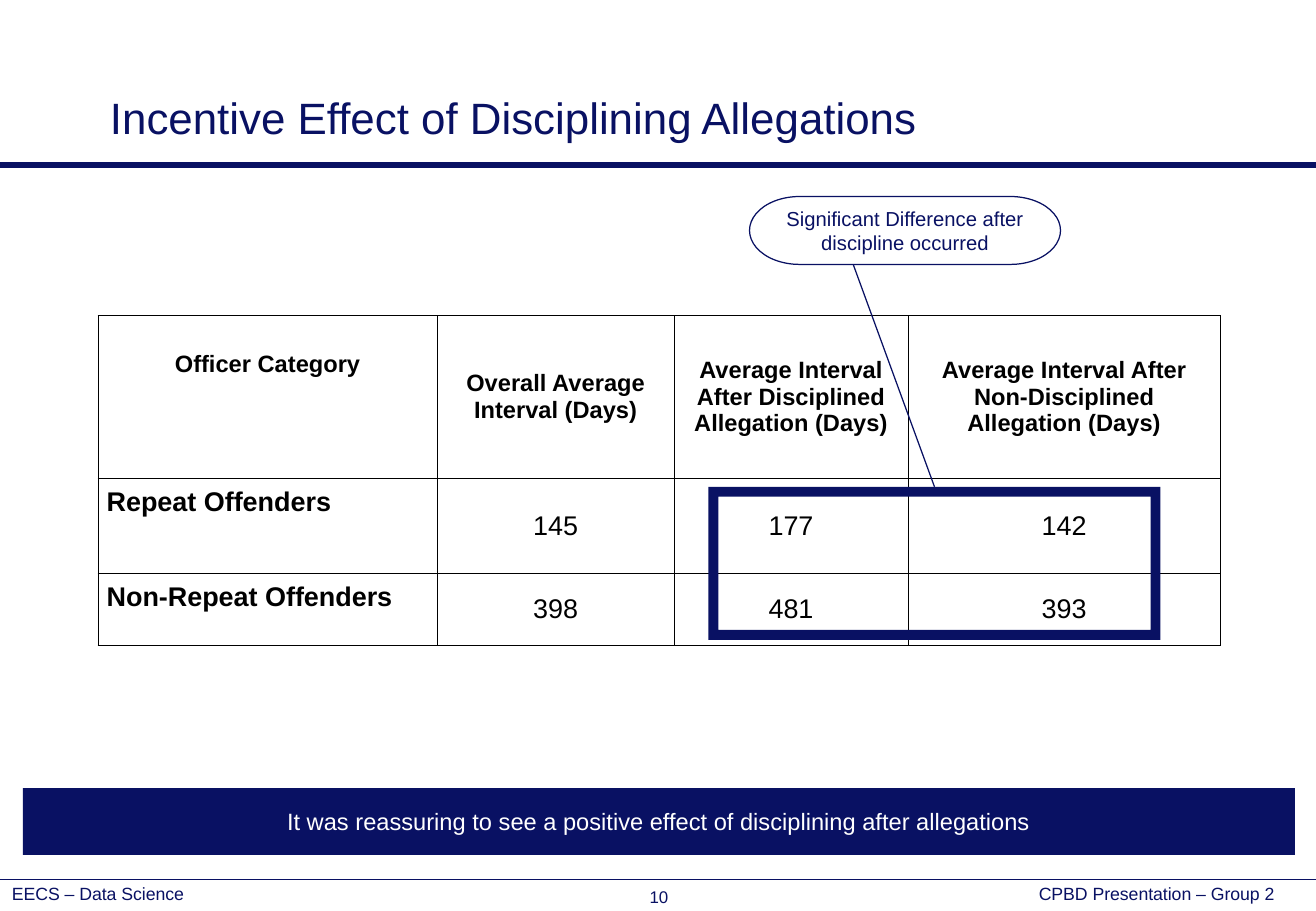
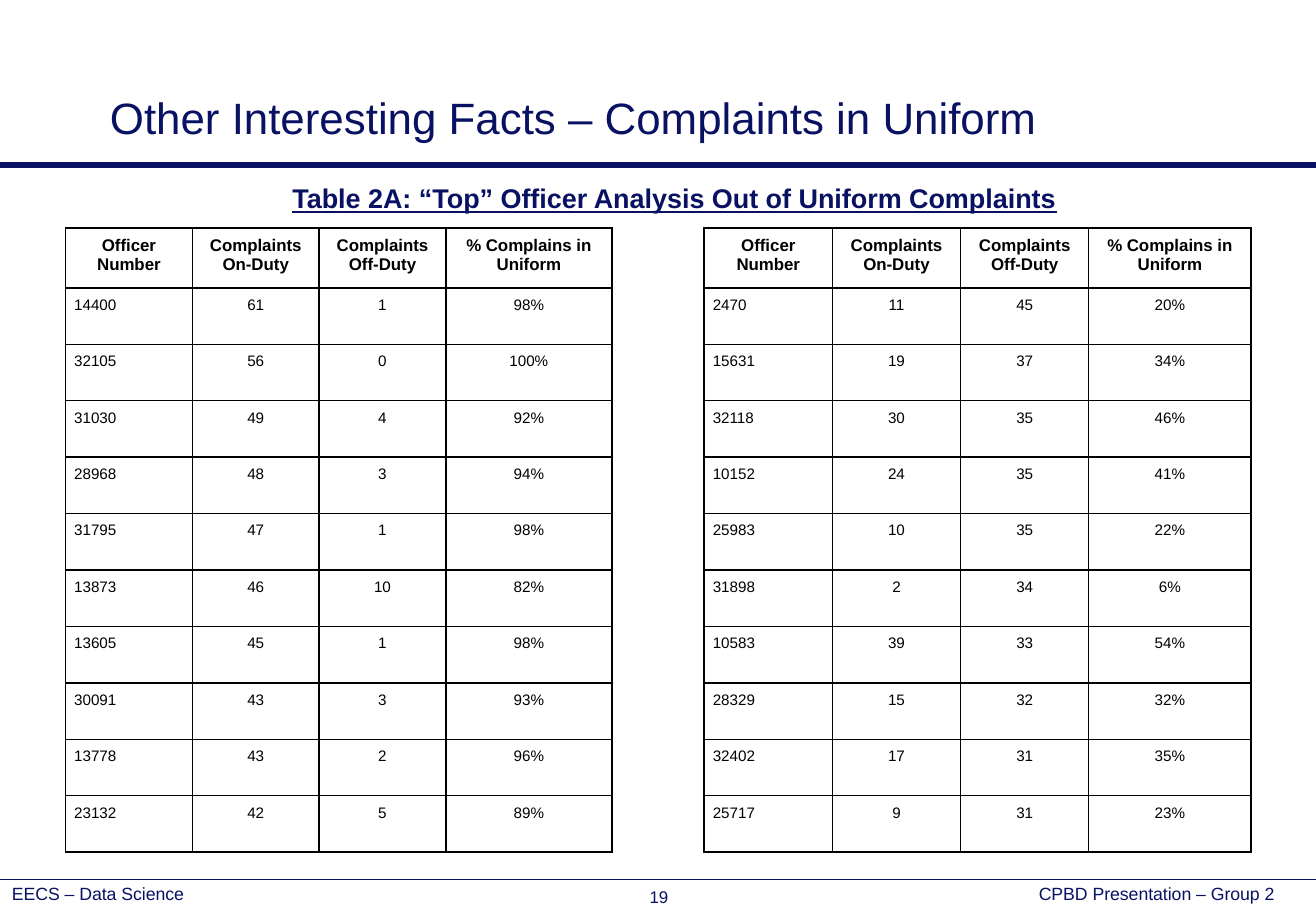
import pptx
import pptx.util
import pptx.dml.color
import pptx.enum.shapes
import pptx.enum.text
import pptx.oxml
import pptx.oxml.ns

Cm, Pt = pptx.util.Cm, pptx.util.Pt
Shape = pptx.enum.shapes.MSO_SHAPE
Align = pptx.enum.text.PP_ALIGN
Anchor = pptx.enum.text.MSO_ANCHOR
NAVY, BLACK, WHITE = "091163", "000000", "FFFFFF"
WIDE, HIGH = 27.51, 19.05
RULE, FOOT = 3.45, 18.39  # heights of the two lines


def rgb(code):
    return pptx.dml.color.RGBColor.from_string(code)


def put(item, form):
    for name, value in form.items():
        setattr(item, name, value)


def write(frame, text, size, color=NAVY, align=Align.LEFT, font=None, form=None):
    """Fill a text frame with one styled paragraph."""
    put(frame, {"word_wrap": True, "vertical_anchor": Anchor.MIDDLE, **(form or {})})
    para = frame.paragraphs[0]
    para.alignment = align
    run = para.add_run()
    run.text = text
    put(run.font, {"name": "Arial", "size": Pt(size), **(font or {})})
    run.font.color.rgb = rgb(color)
    return para


def label(slide, box, text, size, **style):
    area = slide.shapes.add_textbox(*map(Cm, box))
    return write(area.text_frame, text, size, **style)


def line(slide, start, end, width):
    link = slide.shapes.add_connector(
        pptx.enum.shapes.MSO_CONNECTOR.STRAIGHT, *map(Cm, start + end))
    link.line.color.rgb = rgb(NAVY)
    link.line.width = Pt(width)
    props = link._element.spPr
    props.append(props.makeelement(pptx.oxml.ns.qn("a:effectLst"), {}))


def block(slide, kind, box, fill=None, edge=None):
    shape = slide.shapes.add_shape(kind, *map(Cm, box))
    shape.shadow.inherit = False
    if fill:
        shape.fill.solid()
        shape.fill.fore_color.rgb = rgb(fill)
    else:
        shape.fill.background()
    if edge:
        shape.line.color.rgb = rgb(NAVY)
        shape.line.width = Pt(edge)
    else:
        shape.line.fill.background()
    return shape


def base(deck, title, page):
    """Blank slide with title, lines and footer."""
    slide = deck.slides.add_slide(deck.slide_layouts[6])
    for y, width in ((FOOT, 1), (RULE, 3)):
        line(slide, (0, y), (WIDE, y), width)
    head = label(slide, (2.05, 0.13, 24.87, 3), title, 26,
                 form={"vertical_anchor": Anchor.BOTTOM})
    head.line_spacing = 0.9
    top = FOOT + 0.05
    for box, text, size, align in (
            ((0, top, 11.33, 0.48), "EECS – Data Science", 10.5, Align.LEFT),
            ((12.9, top, 1.75, 0.61), page, 10, Align.CENTER),
            ((15.57, top, 11.33, 0.48), "CPBD Presentation – Group 2", 10.5, Align.RIGHT)):
        label(slide, box, text, size, align=align)
    return slide


def border(cell, width):
    props = cell._tc.get_or_add_tcPr()
    for side in ("lnL", "lnR", "lnT", "lnB"):
        props.append(pptx.oxml.parse_xml(
            f'<a:{side} {pptx.oxml.ns.nsdecls("a")} w="{Pt(width)}">'
            f'<a:solidFill><a:srgbClr val="{BLACK}"/></a:solidFill></a:{side}>'))


def grid(slide, left, top, cols, rows, data, edge, style):
    """Draw a table; style(row, col) gives size, bold, align and anchor."""
    table = slide.shapes.add_table(
        len(rows), len(cols), Cm(left), Cm(top), Cm(sum(cols)), Cm(sum(rows))).table
    put(table, {"first_row": False, "horz_banding": False})
    for col, width in zip(table.columns, cols):
        col.width = Cm(width)
    for row, height in zip(table.rows, rows):
        row.height = Cm(height)
    for r, texts in enumerate(data):
        for c, text in enumerate(texts):
            cell = table.cell(r, c)
            size, bold, align, anchor = style(r, c)
            border(cell, edge)
            cell.fill.background()
            put(cell, {"vertical_anchor": anchor, **dict.fromkeys(
                ("margin_left", "margin_right", "margin_top", "margin_bottom"), Cm(0.18))})
            write(cell.text_frame, text, size, BLACK, align, {"bold": bold},
                  {"vertical_anchor": None})
            cell.vertical_anchor = anchor
    return table


def callout(slide, left, top, text):
    """Bubble joined to a thick frame below it."""
    x, y, wide = left + 0.86, top + 6.07, 9.45
    frame = block(slide, Shape.FRAME, (left, y, wide, 3.2), NAVY)
    frame.adjustments[0] = 0.065
    line(slide, (x + 6.5 / 3, top + 1.42), (left + wide / 2, y), 0.75)
    bubble = block(slide, Shape.FLOWCHART_TERMINATOR, (x, top, 6.5, 1.42), edge=0.75)
    write(bubble.text_frame, text, 12, align=Align.CENTER)


def effect(deck):
    slide = base(deck, "Incentive Effect of Disciplining Allegations", "10")

    def style(r, c):
        middle = c > 0
        return (16 if r else 14, r == 0 or c == 0,
                Align.CENTER if r == 0 or middle else Align.LEFT,
                Anchor.MIDDLE if middle else Anchor.TOP)

    data = (
        ("Officer Category", "Overall Average Interval (Days)",
         "Average Interval After Disciplined Allegation (Days)",
         "Average Interval After Non-Disciplined Allegation (Days)"),
        ("Repeat Offenders", "145", "177", "142"),
        ("Non-Repeat Offenders", "398", "481", "393"))
    table = grid(slide, 2.05, 6.6, (7.09, 4.95, 4.89, 6.53), (3.4, 1.99, 1.51),
                 data, 0.5, style)
    table.cell(0, 0).margin_top = Cm(0.75)  # first heading sits one line lower
    banner = block(slide, Shape.RECTANGLE, (0.48, 16.48, 26.59, 1.4), NAVY)
    write(banner.text_frame,
          "It was reassuring to see a positive effect of disciplining after allegations",
          14, WHITE, Align.CENTER)
    callout(slide, 14.81, 4.11, "Significant Difference after discipline occurred")


HEADS = ("Officer Number", "Complaints On-Duty", "Complaints Off-Duty",
         "% Complains in Uniform")
ON_TOP = (
    ("14400", "61", "1", "98%"), ("32105", "56", "0", "100%"),
    ("31030", "49", "4", "92%"), ("28968", "48", "3", "94%"),
    ("31795", "47", "1", "98%"), ("13873", "46", "10", "82%"),
    ("13605", "45", "1", "98%"), ("30091", "43", "3", "93%"),
    ("13778", "43", "2", "96%"), ("23132", "42", "5", "89%"))
OFF_TOP = (
    ("2470", "11", "45", "20%"), ("15631", "19", "37", "34%"),
    ("32118", "30", "35", "46%"), ("10152", "24", "35", "41%"),
    ("25983", "10", "35", "22%"), ("31898", "2", "34", "6%"),
    ("10583", "39", "33", "54%"), ("28329", "15", "32", "32%"),
    ("32402", "17", "31", "35%"), ("25717", "9", "31", "23%"))


def facts(deck):
    slide = base(deck, "Other Interesting Facts – Complaints in Uniform", "19")

    def style(r, c):
        return (9 if r else 10, r == 0,
                Align.LEFT if r and c == 0 else Align.CENTER, Anchor.TOP)

    # Two tables side by side
    for left, col, last, data in ((1.37, 2.65, 3.47, ON_TOP), (14.72, 2.68, 3.39, OFF_TOP)):
        grid(slide, left, 4.77, [col] * 3 + [last], [1.25] + [1.18] * len(data),
             (HEADS,) + data, 1, style)
    label(slide, (2.05, 3.68, 24.1, 0.94),
          "Table 2A: “Top” Officer Analysis Out of Uniform Complaints", 16,
          align=Align.CENTER, font={"bold": True, "underline": True},
          form={"vertical_anchor": Anchor.TOP})


def main():
    deck = pptx.Presentation()
    put(deck, {"slide_width": Cm(WIDE), "slide_height": Cm(HIGH)})
    effect(deck)
    facts(deck)
    deck.save("out.pptx")


if __name__ == "__main__":
    main()
